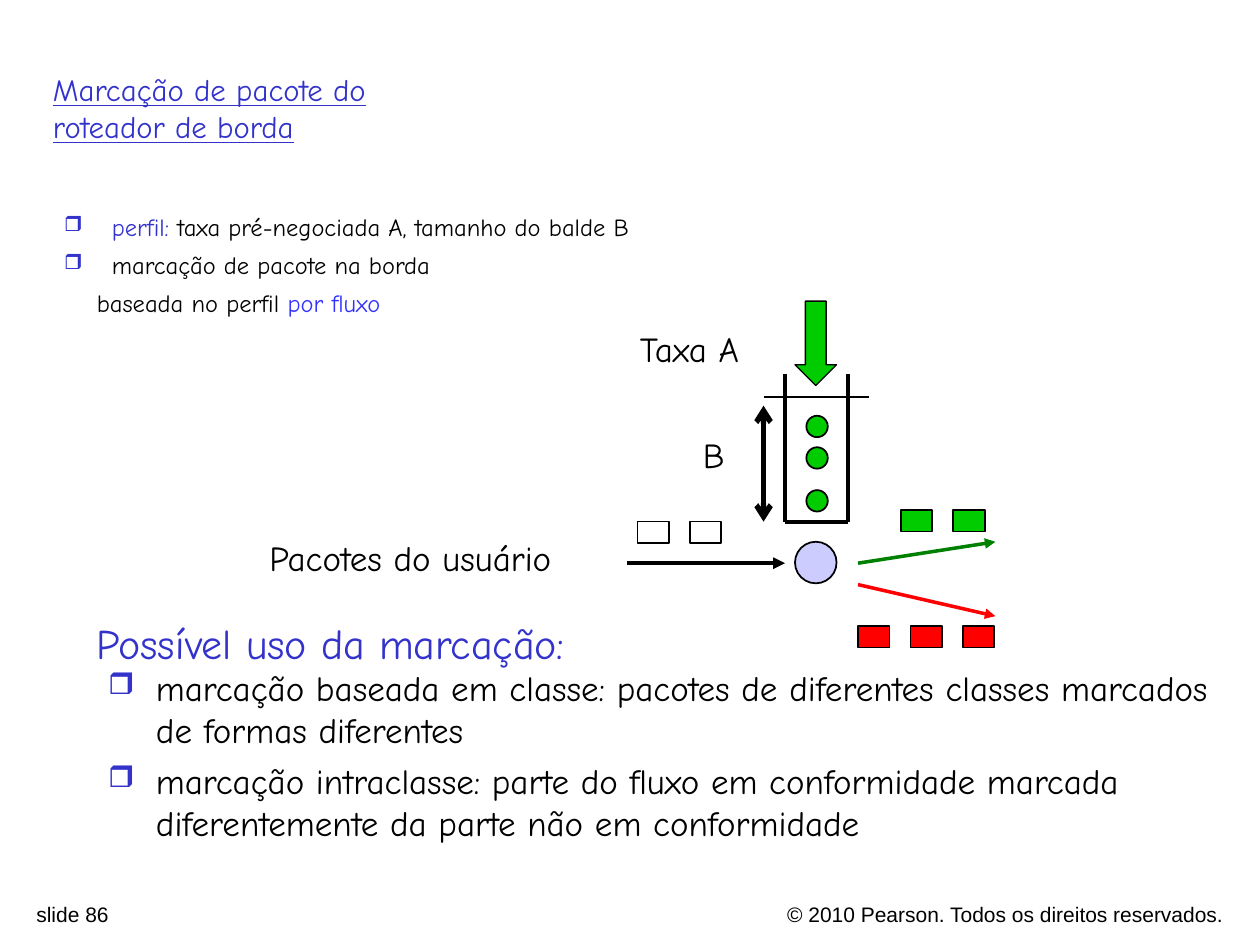
"""Build a slide on packet marking at an edge router."""
from dataclasses import dataclass

from lxml.etree import SubElement
from pptx import Presentation
from pptx.dml.color import RGBColor as Rgb
from pptx.enum.shapes import MSO_CONNECTOR as Link, MSO_SHAPE as Kind
from pptx.enum.text import MSO_ANCHOR as Anchor, MSO_AUTO_SIZE as Fit, PP_ALIGN as Align
from pptx.oxml.ns import qn
from pptx.util import Inches, Pt

HUES = {
    "black": "000000", "white": "FFFFFF", "blue": "3333CC", "flow": "3333FF",
    "lime": "00CC00", "green": "008000", "red": "FF0000", "pale": "CCCCFF",
}
HAND = "Comic Neue"


@dataclass
class Run:
    text: str
    hue: str = "black"


@dataclass
class Para:
    runs: list[Run]
    mark: bool = False
    inset: float = 0
    gap: float = 0


@dataclass
class Label:
    box: tuple[float, float, float, float]
    paras: list[Para]
    size: float = 20
    face: str = HAND
    align: Align = Align.LEFT


@dataclass
class Form:
    kind: Kind
    box: tuple[float, float, float, float]
    fill: str
    width: float = 1


@dataclass
class Line:
    start: tuple[float, float]
    end: tuple[float, float]
    width: float = 2
    hue: str = "black"
    head: str = ""
    tail: str = ""


def tint(name: str) -> Rgb:
    return Rgb.from_string(HUES[name])


def apply(item, traits: dict) -> None:
    for name, value in traits.items():
        setattr(item, name, value)


def add_mark(para) -> None:
    props = para._p.get_or_add_pPr()
    apply_indent(props, 0.38, -0.38)
    color = SubElement(props, qn("a:buClr"))
    SubElement(color, qn("a:srgbClr"), val=HUES["blue"])
    SubElement(props, qn("a:buSzPct"), val="85000")
    SubElement(props, qn("a:buChar"), char="❒")


def apply_indent(props, left: float, first: float) -> None:
    props.set("marL", str(Inches(left)))
    props.set("indent", str(Inches(first)))


def write(frame, paras: list[Para], align: Align, font: dict) -> None:
    for i, item in enumerate(paras):
        para = frame.add_paragraph() if i else frame.paragraphs[0]
        if item.mark:
            add_mark(para)
        elif item.inset:
            apply_indent(para._p.get_or_add_pPr(), item.inset, 0)
        apply(para, {"alignment": align, "space_before": Pt(item.gap)})
        for part in item.runs:
            run = para.add_run()
            run.text = part.text
            apply(run.font, font)
            run.font.color.rgb = tint(part.hue)


def add_label(slide, label: Label) -> None:
    frame = slide.shapes.add_textbox(*map(Inches, label.box)).text_frame
    apply(frame, {"word_wrap": True, "auto_size": Fit.NONE, "vertical_anchor": Anchor.TOP})
    write(frame, label.paras, label.align, {"name": label.face, "size": Pt(label.size)})


def add_title(slide, box: tuple, lines: list[str]) -> None:
    title = slide.shapes.title
    apply(title, dict(zip(("left", "top", "width", "height"), map(Inches, box))))
    frame = title.text_frame
    apply(frame, {"word_wrap": True, "auto_size": Fit.NONE, "vertical_anchor": Anchor.MIDDLE})
    font = {"name": HAND, "size": Pt(17.6), "underline": True}
    write(frame, [Para([Run(line, "blue")]) for line in lines], Align.LEFT, font)


def add_form(slide, form: Form) -> None:
    shape = slide.shapes.add_shape(form.kind, *map(Inches, form.box))
    shape.shadow.inherit = False
    shape.fill.solid()
    shape.fill.fore_color.rgb = tint(form.fill)
    shape.line.color.rgb = tint("black")
    shape.line.width = Pt(form.width)


def add_line(slide, line: Line) -> None:
    link = slide.shapes.add_connector(Link.STRAIGHT, *map(Inches, line.start + line.end))
    link.line.color.rgb = tint(line.hue)
    link.line.width = Pt(line.width)
    props = link._element.spPr
    edge = props.find(qn("a:ln"))
    for tag, kind in (("a:headEnd", line.head), ("a:tailEnd", line.tail)):
        if kind:
            SubElement(edge, qn(tag), type=kind)
    SubElement(props, qn("a:effectLst"))


def packets(left: float, top: float, count: int, fill: str) -> list[Form]:
    step = 0.415
    return [Form(Kind.RECTANGLE, (left + i * step, top, 0.25, 0.17), fill) for i in range(count)]


LABELS = [
    Label((4.7, 7.11, 5.11, 0.24),
          [Para([Run("© 2010 Pearson. Todos os direitos reservados.")])], 12, "Arial", Align.RIGHT),
    Label((0.19, 7.11, 3.52, 0.23), [Para([Run("slide 86")])], 12, "Arial"),
    Label((0.76, 5.24, 9, 2), [
        Para([Run("marcação baseada em classe: pacotes de diferentes classes marcados "
                  "de formas diferentes")], True),
        Para([Run("marcação intraclasse: parte do fluxo em conformidade marcada "
                  "diferentemente da parte não em conformidade")], True, gap=5),
    ]),
    Label((0.41, 1.63, 8.75, 1), [
        Para([Run("perfil: ", "blue"), Run("taxa pré-negociada A, tamanho do balde B")], True),
        Para([Run("marcação de pacote na borda")], True, gap=5),
        Para([Run("baseada no perfil "), Run("por fluxo", "flow")], inset=0.26, gap=5),
    ], 14),
    Label((0.67, 4.85, 4.92, 0.5), [Para([Run("Possível uso da marcação:", "blue")])], 24),
    Label((2.04, 4.21, 3.03, 0.44), [Para([Run("Pacotes do usuário")])]),
    Label((4.98, 2.55, 1.25, 0.44), [Para([Run("Taxa A")])]),
    Label((5.48, 3.39, 0.38, 0.44), [Para([Run("B")])]),
]
FORMS = [
    *packets(7.15, 4.05, 2, "lime"),
    *packets(6.81, 4.97, 3, "red"),
    *packets(5.06, 4.14, 2, "white"),
    *[Form(Kind.OVAL, (6.4, top, 0.17, 0.17), "lime") for top in (3.3, 3.55, 3.89)],
    Form(Kind.OVAL, (6.31, 4.3, 0.33, 0.33), "pale"),
    Form(Kind.DOWN_ARROW, (6.31, 2.39, 0.33, 0.67), "lime", 0.75),
]
WALLS = [
    Line((x, top), (x, end), width)
    for x in (6.23, 6.73) for top, end, width in ((2.97, 3.39, 2), (3.39, 4.14, 2.25))
]
LINES = [
    *WALLS,
    Line((6.23, 4.14), (6.73, 4.14), 2.25),
    Line((4.98, 4.47), (6.23, 4.47), 2.25, tail="triangle"),
    Line((6.81, 4.64), (7.9, 4.89), hue="red", tail="triangle"),
    Line((6.81, 4.47), (7.9, 4.3), hue="green", tail="triangle"),
    Line((6.06, 3.15), (6.9, 3.15), 0.75),
    Line((6.06, 3.22), (6.06, 4.14), 3, head="arrow", tail="arrow"),
]


def main() -> None:
    deck = Presentation()
    apply(deck, {"slide_width": Inches(10), "slide_height": Inches(7.5)})
    slide = deck.slides.add_slide(deck.slide_layouts[5])
    add_title(slide, (0.32, 0.48, 9.06, 0.75), ["Marcação de pacote do", "roteador de borda"])
    for draw, items in ((add_label, LABELS), (add_form, FORMS), (add_line, LINES)):
        for item in items:
            draw(slide, item)
    deck.save("out.pptx")


if __name__ == "__main__":
    main()
